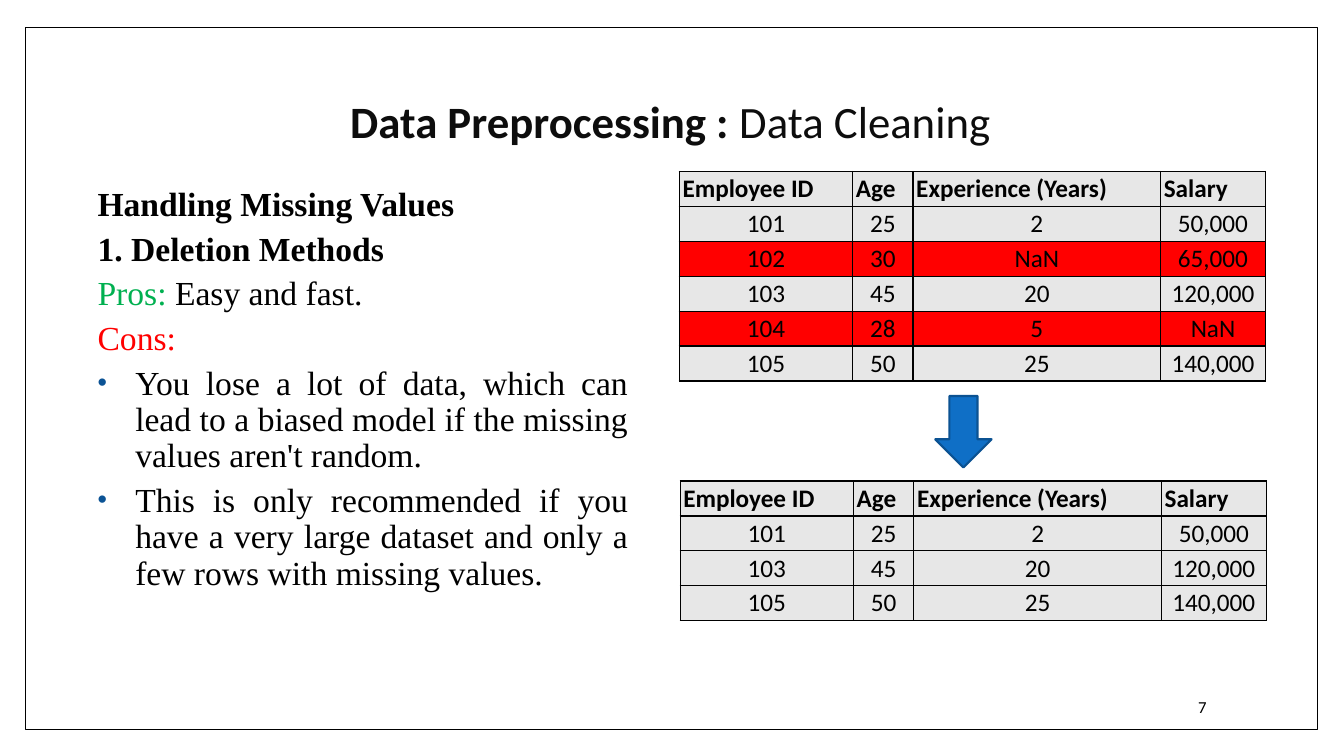
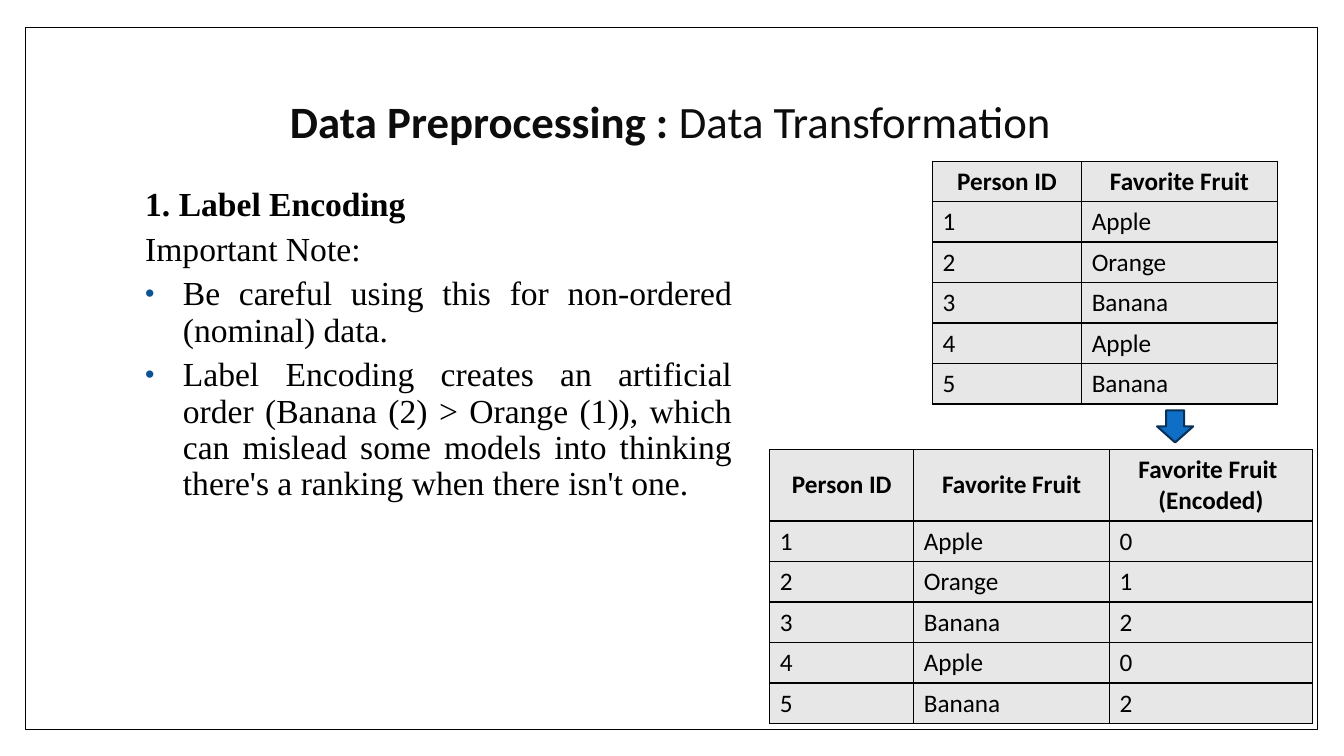
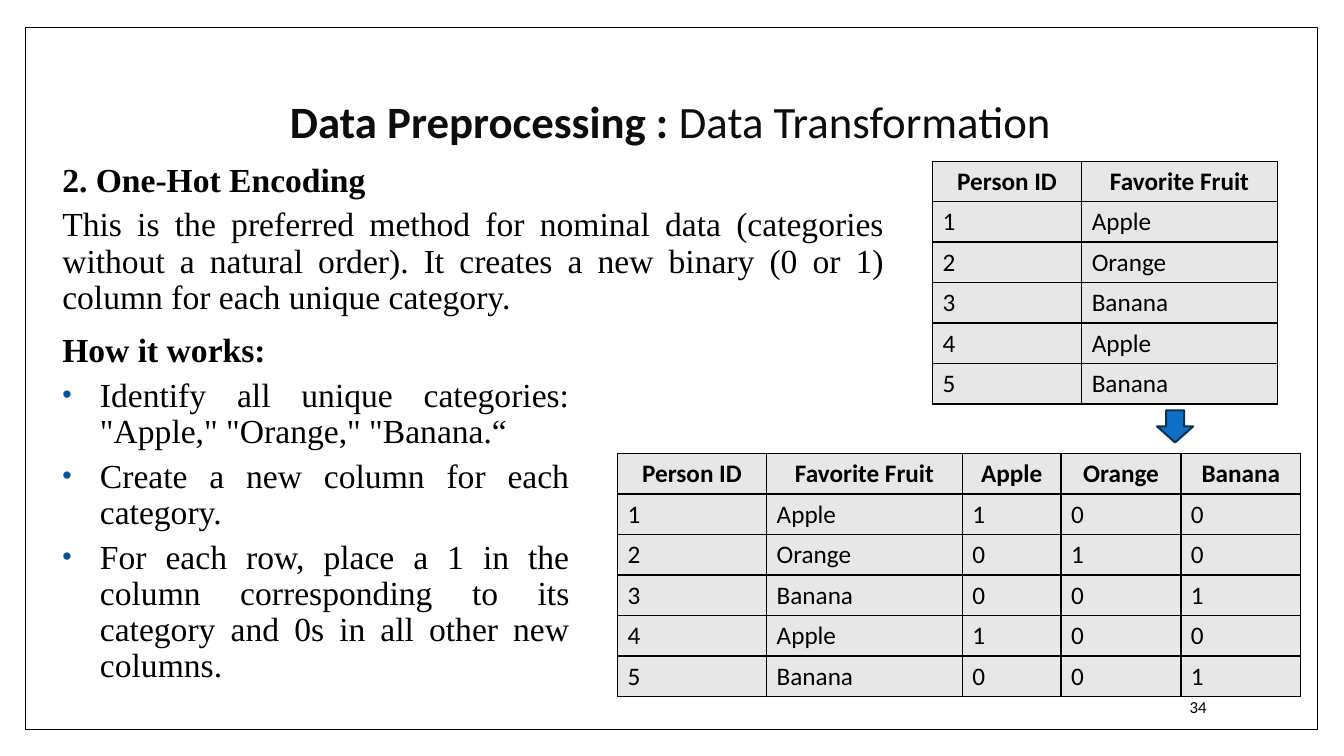
"""Build three slides on data cleaning and data transformation."""
from dataclasses import dataclass

from lxml.etree import SubElement
from pptx import Presentation
from pptx.dml.color import RGBColor
from pptx.enum.shapes import MSO_SHAPE
from pptx.enum.text import MSO_ANCHOR, PP_ALIGN
from pptx.oxml.ns import qn
from pptx.util import Cm, Pt


@dataclass(frozen=True)
class Theme:
    """Colours, fonts and type sizes of the deck."""
    black: str = "000000"
    white: str = "FFFFFF"
    title: str = "0D0D0D"
    good: str = "00B050"
    bad: str = "FF0000"
    cell: str = "E7E7E7"
    arrow: str = "0F6FC6"
    edge: str = "0B5292"
    dark: str = "073157"
    bullet: str = "0B5395"
    sans: str = "Calibri"
    serif: str = "Times New Roman"
    head: int = 32
    body: int = 24
    grid: int = 18
    foot: int = 12


T = Theme()


def ink(run, face, size, color=T.black, bold=False):
    """Set the font of a run."""
    font = run.font
    font.name, font.size, font.bold = face, Pt(size), bold
    font.color.rgb = RGBColor.from_string(color)


def paint(shape, fill, line, width):
    """Set fill and outline of a shape and drop its shadow."""
    shape.shadow.inherit = False
    shape.fill.solid()
    shape.fill.fore_color.rgb = RGBColor.from_string(fill)
    shape.line.color.rgb = RGBColor.from_string(line)
    shape.line.width = Pt(width)


staff = [
    ["Employee ID", "Age", "Experience (Years)", "Salary"],
    ["101", "25", "2", "50,000"],
    ["102", "30", "NaN", "65,000"],
    ["103", "45", "20", "120,000"],
    ["104", "28", "5", "NaN"],
    ["105", "50", "25", "140,000"],
]
clean = [row for row in staff if "NaN" not in row]
kinds = ["Apple", "Orange", "Banana"]
picks = ["Apple", "Orange", "Banana", "Apple", "Banana"]
fruit = [["Person ID", "Favorite Fruit"]]
fruit += [[str(n), pick] for n, pick in enumerate(picks, 1)]
label = [fruit[0] + ["Favorite Fruit \n(Encoded)"]]
label += [row + [str(kinds.index(row[1]))] for row in fruit[1:]]
onehot = [fruit[0] + kinds]
onehot += [row + [str(int(row[1] == kind)) for kind in kinds] for row in fruit[1:]]

wide = [4.37, 1.52, 6.24, 2.64]
pair = [3.76, 4.93]
source = (23.5, 4.06, pair, 1.02, 1.02, fruit, False)
small = (29.16, 10.34, 0.91, 0.81, T.dark)

slides = [
    {
        "topic": "Data Cleaning",
        "number": "7",
        "texts": [((1.98, 4.6, 14.1, 12.34), [
            ("head", "Handling Missing Values"),
            ("head", "1. Deletion Methods"),
            ("good", "Pros: ", "Easy and fast."),
            ("bad", "Cons:"),
            ("bullet", "You lose a lot of data, which can lead to a biased model "
                       "if the missing values aren't random."),
            ("bullet", "This is only recommended if you have a very large dataset "
                       "and only a few rows with missing values."),
        ])],
        "tables": [(17.12, 4.32, wide, 0.88, 0.88, staff, True),
                   (17.14, 12.12, wide, 0.88, 0.88, clean, True)],
        "arrow": (23.57, 9.98, 1.42, 1.8, T.edge),
    },
    {
        "topic": "Data Transformation",
        "number": None,
        "texts": [((3.18, 4.6, 15.52, 12.34), [
            ("head", "1. Label Encoding"),
            ("plain", "Important Note:"),
            ("bullet", "Be careful using this for non-ordered (nominal) data."),
            ("bullet", "Label Encoding creates an artificial order (Banana (2) > "
                       "Orange (1)), which can mislead some models into thinking "
                       "there's a ranking when there isn't one."),
        ])],
        "tables": [source, (19.4, 11.33, [3.63, 4.93, 5.11], 1.8, 1.02, label, False)],
        "arrow": small,
    },
    {
        "topic": "Data Transformation",
        "number": "34",
        "texts": [
            ((1.09, 3.99, 21.44, 4.39), [
                ("head", "2. One-Hot Encoding"),
                ("plain", "This is the preferred method for nominal data (categories "
                          "without a natural order). It creates a new binary (0 or 1) "
                          "column for each unique category."),
            ]),
            ((1.09, 8.28, 13.51, 9.53), [
                ("head", "How it works:"),
                ("bullet", "Identify all unique categories: "
                           "\"Apple,\" \"Orange,\" \"Banana.“"),
                ("bullet", "Create a new column for each category."),
                ("bullet", "For each row, place a 1 in the column corresponding to its "
                           "category and 0s in all other new columns."),
            ]),
        ],
        "tables": [source, (15.56, 11.43, pair + [2.49, 3.02, 3.02],
                            1.02, 1.02, onehot, False)],
        "arrow": small,
    },
]

deck = Presentation()
deck.slide_width, deck.slide_height = Cm(33.87), Cm(19.05)

for item in slides:
    slide = deck.slides.add_slide(deck.slide_layouts[6])
    shapes = slide.shapes
    frame = shapes.add_shape(MSO_SHAPE.RECTANGLE, Cm(0.64), Cm(0.69), Cm(32.56), Cm(17.7))
    paint(frame, T.white, T.black, 1)

    title = shapes.add_textbox(Cm(3.18), Cm(1.24), Cm(27.43), Cm(3.76)).text_frame
    title.word_wrap, title.vertical_anchor = True, MSO_ANCHOR.MIDDLE
    para = title.paragraphs[0]
    para.alignment, para.line_spacing = PP_ALIGN.CENTER, 0.9
    for words, bold in (("Data Preprocessing : ", True), (item["topic"], False)):
        run = para.add_run()
        run.text = words
        ink(run, T.sans, T.head, T.title, bold)

    for box, paras in item["texts"]:
        body = shapes.add_textbox(*map(Cm, box)).text_frame
        body.word_wrap = True
        for i, (kind, *parts) in enumerate(paras):
            para = body.add_paragraph() if i else body.paragraphs[0]
            props = para._p.get_or_add_pPr()
            props.set("marL", str(Cm(1.18 if kind == "bullet" else 0.23)))
            props.set("indent", str(Cm(-0.95 if kind == "bullet" else 0)))
            if kind == "bullet":
                tint = SubElement(props, qn("a:buClr"))
                SubElement(tint, qn("a:srgbClr"), val=T.bullet)
                SubElement(props, qn("a:buSzPct"), val="80000")
                SubElement(props, qn("a:buFont"), typeface="Arial")
                SubElement(props, qn("a:buChar"), char="•")
            para.alignment, para.line_spacing = PP_ALIGN.JUSTIFY, 0.9
            para.space_before, para.space_after = Pt(2 if i else 0), Pt(4)
            for j, words in enumerate(parts):
                run = para.add_run()
                run.text = words
                color = {"good": T.good, "bad": T.bad}.get(kind, T.black)
                ink(run, T.serif, T.body, T.black if j else color, kind == "head")

    for left, top, cols, first, rest, rows, tight in item["tables"]:
        highs = [first] + [rest] * (len(rows) - 1)
        grid = shapes.add_table(len(rows), len(cols), Cm(left), Cm(top),
                                Cm(sum(cols)), Cm(sum(highs))).table
        grid.horz_banding = False
        for col, width in zip(grid.columns, cols):
            col.width = Cm(width)
        for r, row in enumerate(rows):
            grid.rows[r].height = Cm(highs[r])
            for c, words in enumerate(row):
                cell = grid.cell(r, c)
                cell.text = words
                cell.vertical_anchor = MSO_ANCHOR.BOTTOM if tight else MSO_ANCHOR.MIDDLE
                if tight:
                    cell.margin_left = cell.margin_right = Cm(0.08)
                    cell.margin_top = cell.margin_bottom = Cm(0.05)
                for side in ("lnL", "lnR", "lnT", "lnB"):
                    rule = SubElement(cell._tc.get_or_add_tcPr(), qn("a:" + side),
                                      w=str(Pt(1)))
                    SubElement(SubElement(rule, qn("a:solidFill")),
                               qn("a:srgbClr"), val=T.black)
                cell.fill.solid()
                shade = T.bad if "NaN" in row else T.cell
                cell.fill.fore_color.rgb = RGBColor.from_string(shade)
                for para in cell.text_frame.paragraphs:
                    center = (r == 0) != tight
                    para.alignment = PP_ALIGN.CENTER if center else PP_ALIGN.LEFT
                    ink(para.runs[0], T.sans, T.grid, bold=r == 0)

    *place, edge = item["arrow"]
    arrow = shapes.add_shape(MSO_SHAPE.DOWN_ARROW, *map(Cm, place))
    paint(arrow, T.arrow, edge, 1.5)

    if item["number"]:
        foot = shapes.add_textbox(Cm(25.91), Cm(17.3), Cm(4.75), Cm(1.02)).text_frame
        foot.word_wrap, foot.vertical_anchor = True, MSO_ANCHOR.MIDDLE
        foot.text = item["number"]
        foot.paragraphs[0].alignment = PP_ALIGN.RIGHT
        ink(foot.paragraphs[0].runs[0], T.sans, T.foot)

deck.save("out.pptx")
